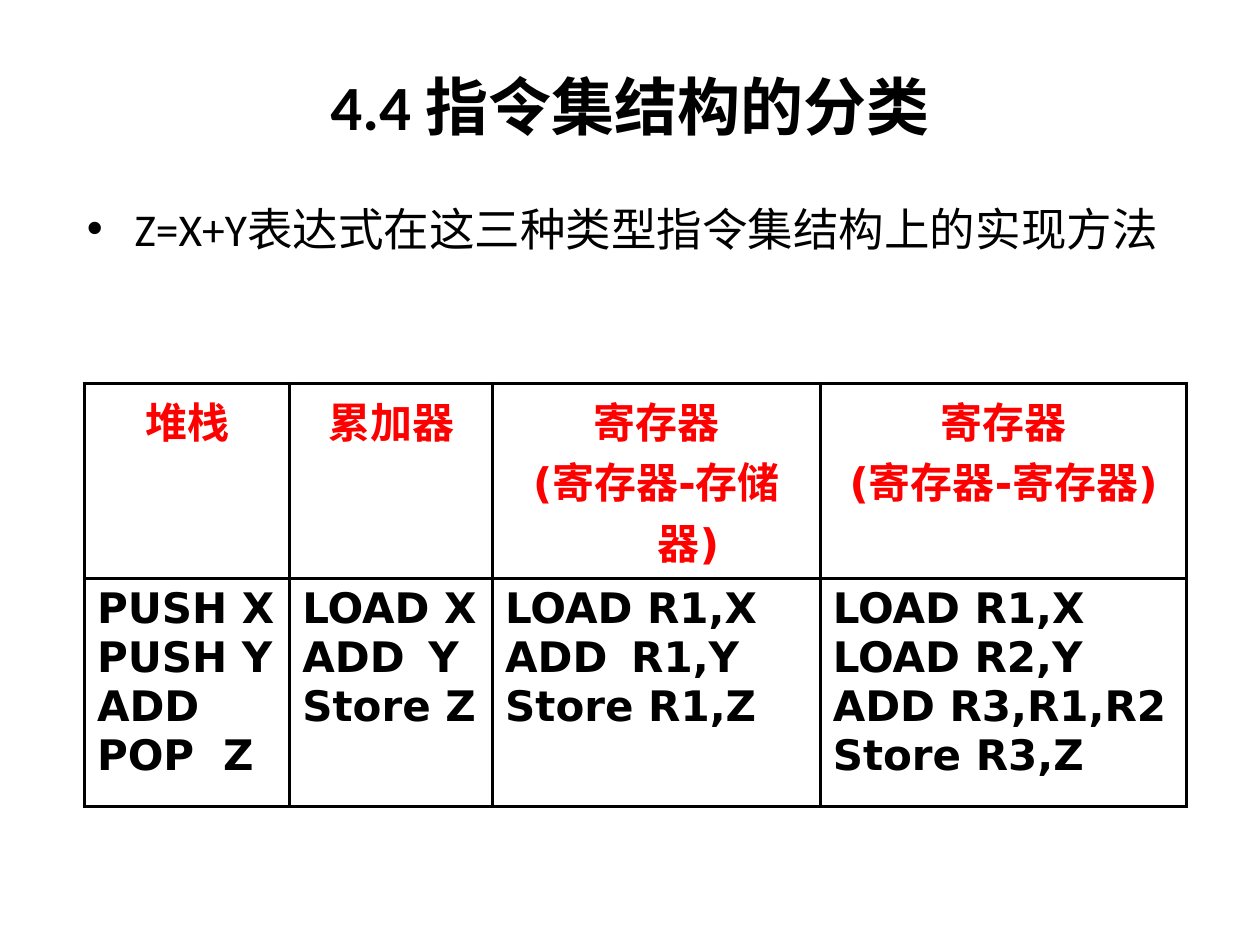
import pptx
import pptx.util
import pptx.dml.color
import pptx.enum.text
import pptx.oxml.ns
import lxml.etree

Inches = pptx.util.Inches
Pt = pptx.util.Pt
CENTER = pptx.enum.text.PP_ALIGN.CENTER
LEFT = pptx.enum.text.PP_ALIGN.LEFT
MIDDLE = pptx.enum.text.MSO_ANCHOR.MIDDLE

THEME = {
    "text": "000000", "heading": "FF0000", "border": "000000",
    "text_font": "Calibri", "table_font": "DejaVu Sans",
    "title_size": 36, "body_size": 26, "table_size": 24, "border_width": 2,
}


def add_xml(parent, tag, **attributes):
    """Append a drawing element with attributes and return it."""
    element = lxml.etree.SubElement(parent, pptx.oxml.ns.qn(tag))
    for name, value in attributes.items():
        element.set(name, str(value))
    return element


def write_text(frame, text, *, size, font, color=THEME["text"], bold=False,
               align=LEFT, hanging=0, bullet=None, tab=None,
               space_before=0, line_spacing=None):
    """Write each line of text as a formatted paragraph."""
    frame.word_wrap = True
    for number, line in enumerate(text.split("\n")):
        paragraph = frame.add_paragraph() if number else frame.paragraphs[0]
        paragraph.alignment = align
        paragraph.space_before = Pt(space_before)
        if line_spacing:
            paragraph.line_spacing = line_spacing
        properties = paragraph._p.get_or_add_pPr()
        properties.set("marL", str(Inches(hanging)))
        properties.set("indent", str(-Inches(hanging)))
        if bullet:
            add_xml(properties, "a:buFont", typeface="Arial")
            add_xml(properties, "a:buChar", char=bullet)
        if tab and "\t" in line:
            tabs = add_xml(properties, "a:tabLst")
            add_xml(tabs, "a:tab", pos=Inches(tab), algn="l")
        run = paragraph.add_run()
        run.text = line
        run.font.name = font
        run.font.size = Pt(size)
        run.font.bold = bold
        run.font.color.rgb = pptx.dml.color.RGBColor.from_string(color)


presentation = pptx.Presentation()
presentation.slide_width = Inches(10)
presentation.slide_height = Inches(7.5)
slide = presentation.slides.add_slide(presentation.slide_layouts[6])

title = slide.shapes.add_textbox(Inches(0.5), Inches(0.21), Inches(9), Inches(1.25))
title.text_frame.vertical_anchor = MIDDLE
write_text(title.text_frame, "4.4 指令集结构的分类", size=THEME["title_size"],
           font=THEME["text_font"], bold=True, align=CENTER)

body = slide.shapes.add_textbox(Inches(0.59), Inches(1.62), Inches(8.75), Inches(1.25))
write_text(body.text_frame, "Z=X+Y表达式在这三种类型指令集结构上的实现方法",
           size=THEME["body_size"], font=THEME["text_font"], hanging=0.38,
           bullet="•", space_before=5, line_spacing=0.82)

# Each column: width, heading, code, tab position of the operand
columns = [
    (1.63, "堆栈", "PUSH X\nPUSH Y\nADD\nPOP\tZ", 1.12),
    (1.61, "累加器", "LOAD X\nADD\tY\nStore Z", 1.16),
    (2.6, "寄存器\n(寄存器-存储器)", "LOAD R1,X\nADD\tR1,Y\nStore R1,Z", 1.16),
    (2.91, "寄存器\n(寄存器-寄存器)",
     "LOAD R1,X\nLOAD R2,Y\nADD R3,R1,R2\nStore R3,Z", None),
]
row_heights = [1.55, 1.81]
table = slide.shapes.add_table(
    len(row_heights), len(columns), Inches(0.67), Inches(3.04),
    Inches(8.75), Inches(sum(row_heights))).table
table.first_row = False
table.horz_banding = False
for row, height in zip(table.rows, row_heights):
    row.height = Inches(height)

for index, (width, heading, code, tab) in enumerate(columns):
    table.columns[index].width = Inches(width)
    write_text(table.cell(0, index).text_frame, heading, size=THEME["table_size"],
               font=THEME["table_font"], color=THEME["heading"], bold=True,
               align=CENTER, hanging=0.51)
    write_text(table.cell(1, index).text_frame, code, size=THEME["table_size"],
               font=THEME["table_font"], bold=True, tab=tab)

for cell in table.iter_cells():
    properties = cell._tc.get_or_add_tcPr()
    for side in ("a:lnL", "a:lnR", "a:lnT", "a:lnB"):
        border = add_xml(properties, side, w=Pt(THEME["border_width"]))
        fill = add_xml(border, "a:solidFill")
        add_xml(fill, "a:srgbClr", val=THEME["border"])
    cell.fill.background()

presentation.save("out.pptx")
